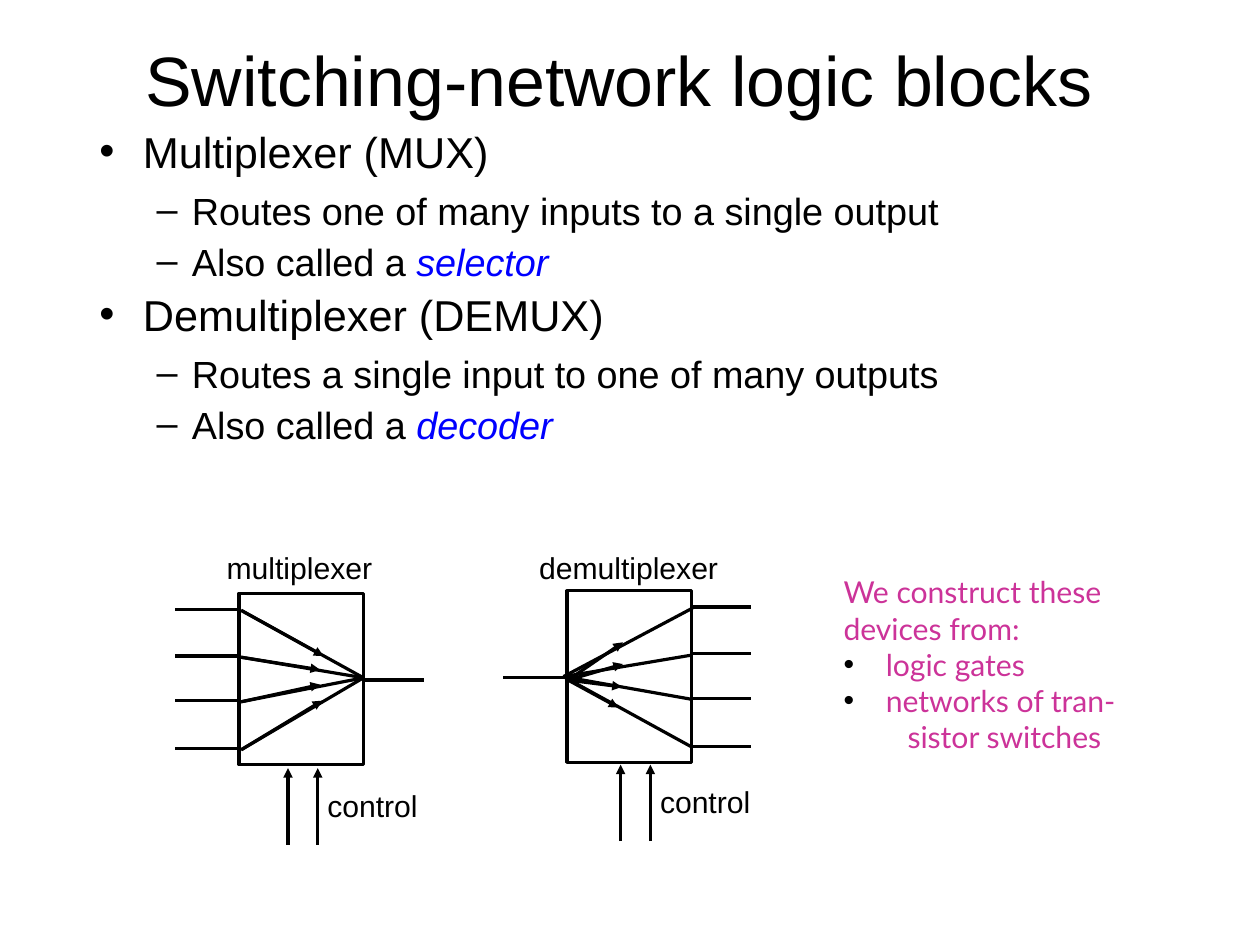
"""Build a slide that introduces multiplexers and demultiplexers."""
from lxml import etree
from pptx import Presentation
from pptx.dml.color import RGBColor
from pptx.enum import shapes, text
from pptx.oxml import ns
from pptx.util import Cm, Inches, Pt

BLACK = RGBColor(0x00, 0x00, 0x00)
BLUE = RGBColor(0x00, 0x00, 0xFF)
PINK = RGBColor(0xCC, 0x33, 0x99)
PIN_OFFSETS = (0, 0.41, 0.8, 1.22)


def set_font(font, name, size, color):
    """Set the face, size and colour of a font."""
    font.name, font.size = name, Pt(size)
    font.color.rgb = color


def set_indent(para, left, hanging=0, bullet=None):
    """Indent a paragraph and give it a bullet if one is named."""
    props = para._p.get_or_add_pPr()
    props.set("marL", str(Inches(left)))
    props.set("indent", str(-Inches(hanging)))
    if bullet:
        color = etree.SubElement(props, ns.qn("a:buClr"))
        etree.SubElement(color, ns.qn("a:srgbClr"), val=str(BLACK))
        etree.SubElement(props, ns.qn("a:buFont"), typeface="Arial")
        etree.SubElement(props, ns.qn("a:buChar"), char=bullet)


def add_box(page, left, top, width, height, side=0.02):
    """Add a wrapping text box and return its text frame."""
    box = page.shapes.add_textbox(Inches(left), Inches(top), Inches(width), Inches(height))
    frame = box.text_frame
    frame.word_wrap = True
    frame.margin_left = frame.margin_right = Inches(side)
    frame.margin_top = frame.margin_bottom = Inches(0.03)
    return frame


def next_para(frame, index):
    """Return the first paragraph of a frame, or a new one."""
    return frame.add_paragraph() if index else frame.paragraphs[0]


def add_title(page, wording):
    """Place and format the title placeholder."""
    title = page.shapes.title
    title.left, title.top = Inches(0.55), Inches(0.04)
    title.width, title.height = Inches(9.92), Inches(1.38)
    frame = title.text_frame
    frame.text = wording
    frame.auto_size = text.MSO_AUTO_SIZE.NONE
    frame.vertical_anchor = text.MSO_ANCHOR.MIDDLE
    frame.margin_left = frame.margin_top = frame.margin_bottom = 0
    frame.margin_right = Inches(0.18)
    para = frame.paragraphs[0]
    para.alignment = text.PP_ALIGN.CENTER
    para.line_spacing = 0.93
    set_font(para.font, "Arial", 44, BLACK)


def add_outline(page, items):
    """Add the two-level list; each item is level, wording and stressed term."""
    frame = add_box(page, 0.87, 1.18, 9.6, 2.76, side=0)
    for index, (level, wording, term) in enumerate(items):
        para = next_para(frame, index)
        para.level = level
        if level:
            set_indent(para, 0.81, 0.31, "–")
        else:
            set_indent(para, 0.38, 0.38, "•")
        para.line_spacing = 0.73
        para.space_after = Pt(11.4 if level else 14.3)
        set_font(para.font, "Arial", 23.8 if level else 27.2, BLACK)
        para.add_run().text = wording
        if term:
            span = para.add_run()
            span.text = term
            span.font.italic = True
            span.font.color.rgb = BLUE


def add_label(page, wording, center, top, width):
    """Add a centred diagram label."""
    para = add_box(page, center - width / 2, top, width, 0.51).paragraphs[0]
    para.text = wording
    para.alignment = text.PP_ALIGN.CENTER
    para.line_spacing = Pt(24)
    set_font(para.font, "Arial", 19, BLACK)


def add_wire(parent, start, end, arrow=False):
    """Draw a straight wire, with an arrowhead at its end if asked."""
    wire = parent.shapes.add_connector(
        shapes.MSO_CONNECTOR.STRAIGHT, *(Inches(value) for value in (*start, *end)))
    wire.line.color.rgb = BLACK
    wire.line.width = Pt(2)
    if arrow:
        etree.SubElement(wire.line._get_or_add_ln(), ns.qn("a:tailEnd"), type="triangle")
    etree.SubElement(wire._element.spPr, ns.qn("a:effectLst"))


def add_block(page, left, top, pin_top, pin_x, pin_end, hub, stub, tips, arrow_start=None):
    """Draw a block; its arrows leave the pins unless a start is given."""
    group = page.shapes.add_group_shape()
    frame = group.shapes.add_shape(
        shapes.MSO_SHAPE.RECTANGLE, Inches(left), Inches(top), Inches(1.09), Inches(1.5))
    frame.shadow.inherit = False
    frame.fill.background()
    frame.line.color.rgb = BLACK
    frame.line.width = Pt(2)
    add_wire(group, *stub)
    for offset, tip in zip(PIN_OFFSETS, tips):
        pin_y = pin_top + offset
        inner = (pin_x, pin_y + 0.01)
        add_wire(group, (pin_x, pin_y), (pin_end, pin_y))
        add_wire(group, inner, hub)
        add_wire(group, arrow_start or inner, tip, arrow=True)


def add_control(page, left, tip_y):
    """Draw the pair of control arrows and their label."""
    for x in (left, left + 0.26):
        add_wire(page, (x, tip_y + 0.67), (x, tip_y), arrow=True)
    add_label(page, "control", left + 0.74, tip_y + 0.12, 1.37)


def add_side_note(page, items):
    """Add the coloured note; each item is wording, left, hanging and bullet."""
    frame = add_box(page, 7.36, 4.99, 3.19, 2.17)
    for index, (wording, left, hanging, bullet) in enumerate(items):
        para = next_para(frame, index)
        para.text = wording
        set_indent(para, left, hanging, bullet)
        set_font(para.font, "Lato", 19, PINK)


def main():
    """Build and save the deck."""
    deck = Presentation()
    deck.slide_width, deck.slide_height = Cm(28), Cm(21)
    page = deck.slides.add_slide(deck.slide_layouts.get_by_name("Title Only"))
    add_title(page, "Switching-network logic blocks")
    add_outline(page, [
        (0, "Multiplexer (MUX)", None),
        (1, "Routes one of many inputs to a single output", None),
        (1, "Also called a ", "selector"),
        (0, "Demultiplexer (DEMUX)", None),
        (1, "Routes a single input to one of many outputs", None),
        (1, "Also called a ", "decoder"),
    ])
    add_block(page, 2.09, 5.19, pin_top=5.33, pin_x=2.11, pin_end=1.53,
              hub=(3.18, 5.93), stub=((3.19, 5.95), (3.71, 5.95)),
              tips=((2.83, 5.74), (2.8, 5.86), (2.8, 5.99), (2.82, 6.13)))
    add_block(page, 4.96, 5.17, pin_top=5.31, pin_x=6.06, pin_end=6.57,
              hub=(4.93, 5.92), stub=((4.97, 5.93), (4.4, 5.93)),
              tips=((5.45, 5.62), (5.45, 5.81), (5.44, 6.01), (5.41, 6.19)),
              arrow_start=(4.97, 5.95))
    add_label(page, "multiplexer", 2.62, 4.76, 1.86)
    add_label(page, "demultiplexer", 5.5, 4.76, 2.16)
    add_control(page, 2.52, 6.72)
    add_control(page, 5.43, 6.69)
    add_side_note(page, [
        ("We construct these", 0, 0, None),
        ("devices from:", 0, 0, None),
        ("logic gates", 0.37, 0.37, "•"),
        ("networks of tran-", 0.37, 0.37, "•"),
        ("sistor switches", 0.56, 0, None),
    ])
    deck.save("out.pptx")


if __name__ == "__main__":
    main()
